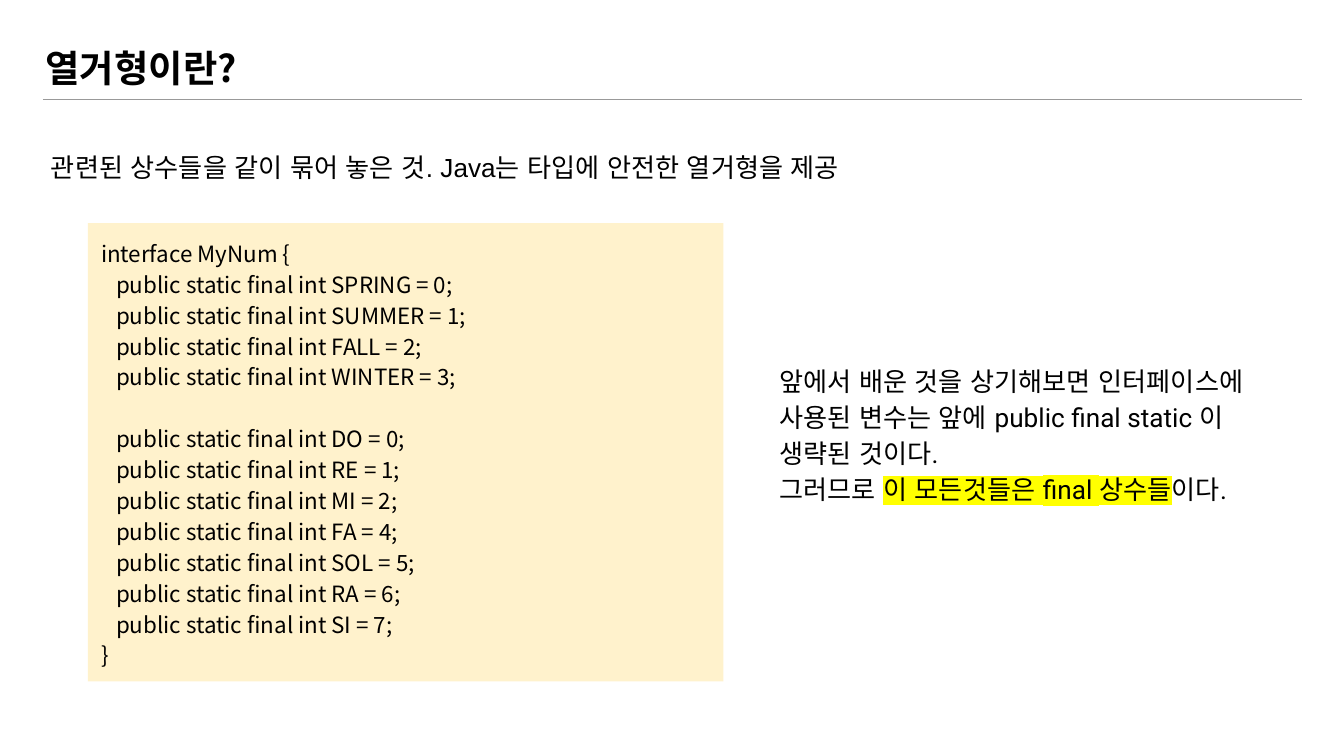
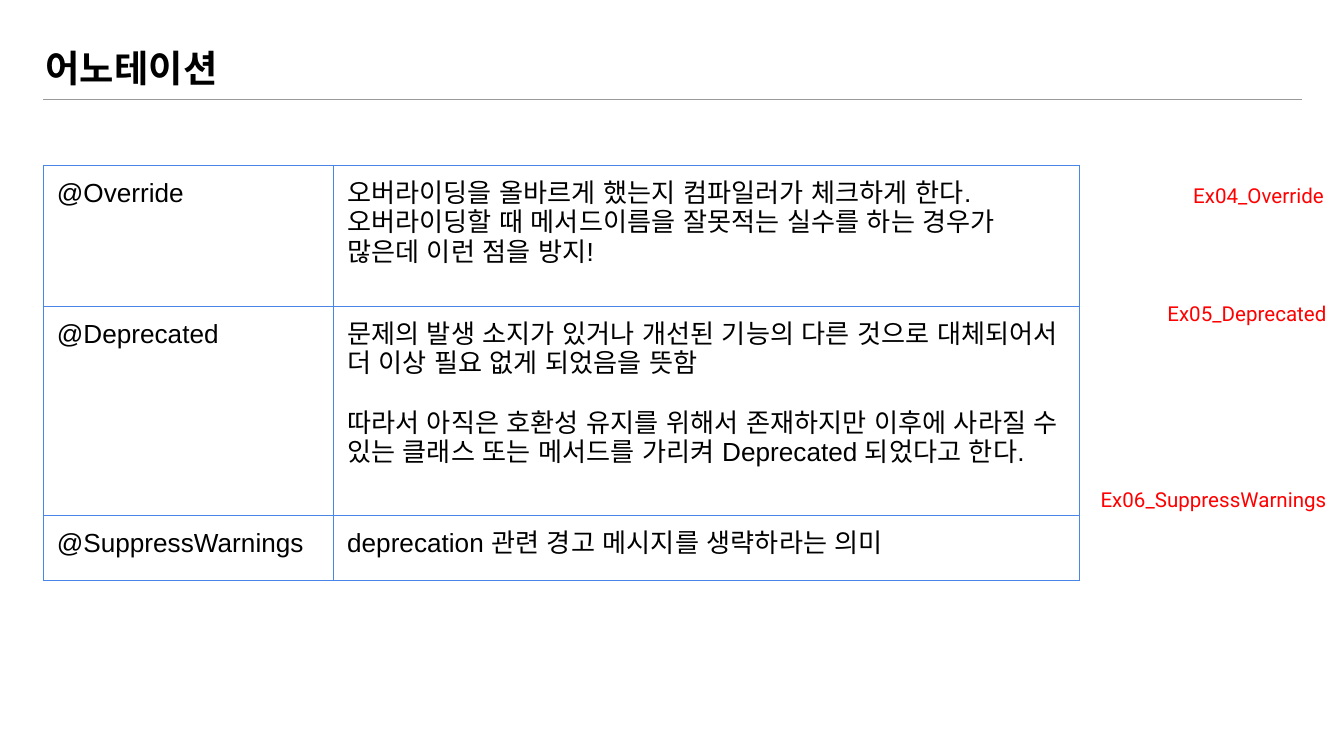
from dataclasses import dataclass
from typing import NamedTuple

from lxml.etree import SubElement
from pptx import Presentation
from pptx.dml.color import RGBColor
from pptx.enum.shapes import MSO_CONNECTOR, MSO_SHAPE
from pptx.enum.text import MSO_ANCHOR as Anchor, PP_ALIGN as Align
from pptx.oxml.ns import qn
from pptx.slide import Slide
from pptx.text.text import TextFrame
from pptx.util import Emu, Inches, Pt

WIDTH, HEIGHT = Inches(10), Inches(5.625)
COLUMN, ROW = WIDTH / 100, HEIGHT / 56.25
INSET = Inches(0.1)

BLACK, RED, RULE = "000000", "FF0000", "999999"
CODE_FILL, MARKER, BORDER = "FFF2CC", "FFFF00", "4A86E8"
SANS, BODY, ROBOTO = "Noto Sans CJK KR", "Arial", "Roboto"


class Area(NamedTuple):
    """A place on the slide, in columns and rows of the grid."""
    left: float
    top: float
    width: float
    height: float

    def lengths(self) -> tuple[Emu, ...]:
        units = (COLUMN, ROW, COLUMN, ROW)
        return tuple(Emu(round(n * unit)) for n, unit in zip(self, units))


class Run(NamedTuple):
    text: str
    marked: bool = False


@dataclass(frozen=True)
class Line:
    """One paragraph; gap is the space before it in points."""
    runs: tuple[Run, ...]
    gap: float = 0


@dataclass(frozen=True)
class Style:
    font: str
    size: float
    color: str = BLACK
    bold: bool = False
    spacing: float | None = 1.15
    align: Align = Align.LEFT
    anchor: Anchor = Anchor.TOP
    korean_font: str = BODY


TITLE = Style(SANS, 20, bold=True, spacing=None, anchor=Anchor.MIDDLE,
              korean_font=SANS)
INTRO = Style(BODY, 14)
CODE = Style(SANS, 12, anchor=Anchor.MIDDLE, korean_font=SANS)
REMARK = Style(ROBOTO, 14)
CELL = Style(BODY, 14, spacing=None)
EXAMPLE = Style(ROBOTO, 11, RED, align=Align.RIGHT)

SEASONS = ("SPRING = 0", "SUMMER = 1", "FALL = 2", "WINTER = 3")
NOTES = ("DO = 0", "RE = 1", "MI = 2", "FA = 4", "SOL = 5", "RA = 6", "SI = 7")

TABLE_AREA = Area(3.23, 12.3, 77.1, 30.9)
TABLE_COLUMNS = (21.6, 55.5)
TABLE_ROWS = (10.5, 15.55, 4.85)


def plain(text: str, gap: float = 0) -> Line:
    return Line((Run(text),), gap)


ANNOTATIONS = (
    ("@Override", (
        plain("오버라이딩을 올바르게 했는지 컴파일러가 체크하게 한다."),
        plain("오버라이딩할 때 메서드이름을 잘못적는 실수를 하는 경우가 많은데 이런 점을 방지!"),
    )),
    ("@Deprecated", (
        plain("문제의 발생 소지가 있거나 개선된 기능의 다른 것으로 대체되어서 "
              "더 이상 필요 없게 되었음을 뜻함"),
        plain("따라서 아직은 호환성 유지를 위해서 존재하지만 이후에 사라질 수 있는 "
              "클래스 또는 메서드를 가리켜 Deprecated 되었다고 한다.", gap=16),
    )),
    ("@SuppressWarnings", (
        plain("deprecation 관련 경고 메시지를 생략하라는 의미"),
    )),
)

EXAMPLES = (
    ("Ex04_Override", Area(66.7, 12.35, 32.8, 3.9)),
    ("Ex05_Deprecated", Area(66.9, 21.1, 32.8, 3.9)),
    ("Ex06_SuppressWarnings", Area(66.9, 34.95, 32.8, 3.9)),
)


def rgb(color: str) -> RGBColor:
    return RGBColor.from_string(color)


def add_solid_color(parent, tag: str, color: str) -> None:
    SubElement(SubElement(parent, qn(tag)), qn("a:srgbClr"), val=color)


def write(frame: TextFrame, lines: tuple[Line, ...], style: Style) -> None:
    for index, line in enumerate(lines):
        paragraph = frame.paragraphs[0] if index == 0 else frame.add_paragraph()
        paragraph.alignment = style.align
        if style.spacing:
            paragraph.line_spacing = style.spacing
        if line.gap:
            paragraph.space_before = Pt(line.gap)
        font = paragraph.font
        font.name, font.size, font.bold = style.font, Pt(style.size), style.bold
        font.color.rgb = rgb(style.color)
        SubElement(font._element, qn("a:ea"), typeface=style.korean_font)
        for text, marked in line.runs:
            run = paragraph.add_run()
            run.text = text
            if marked:
                add_solid_color(run._r.get_or_add_rPr(), "a:highlight", MARKER)


def set_insets(target) -> None:
    """Give a text frame or a table cell the common inner margins."""
    target.margin_left = target.margin_right = INSET
    target.margin_top = target.margin_bottom = INSET


def add_text(slide: Slide, area: Area, lines: tuple[Line, ...], style: Style,
             fill: str | None = None) -> None:
    """Draw a text box, or a filled rectangle with text when fill is given."""
    if fill:
        shape = slide.shapes.add_shape(MSO_SHAPE.RECTANGLE, *area.lengths())
        shape.shadow.inherit = False
        shape.fill.solid()
        shape.fill.fore_color.rgb = rgb(fill)
        shape.line.fill.background()
    else:
        shape = slide.shapes.add_textbox(*area.lengths())
    frame = shape.text_frame
    frame.word_wrap = True
    frame.vertical_anchor = style.anchor
    set_insets(frame)
    write(frame, lines, style)


def add_titled_slide(presentation, title: str) -> Slide:
    slide = presentation.slides.add_slide(presentation.slide_layouts[6])
    add_text(slide, Area(2.4, 2.35, 82.2, 5.4), (plain(title),), TITLE)
    left, top, width, _ = Area(3.2, 7.4, 93.7, 0).lengths()
    rule = slide.shapes.add_connector(
        MSO_CONNECTOR.STRAIGHT, left, top, left + width, top)
    rule.line.color.rgb = rgb(RULE)
    rule.line.width = Pt(0.75)
    SubElement(rule._element.spPr, qn("a:effectLst"))
    return slide


def add_borders(cell) -> None:
    properties = cell._tc.get_or_add_tcPr()
    for side in "LRTB":
        border = SubElement(properties, qn(f"a:ln{side}"), w=str(Pt(0.75)))
        add_solid_color(border, "a:solidFill", BORDER)


def add_annotation_table(slide: Slide) -> None:
    table = slide.shapes.add_table(
        len(TABLE_ROWS), len(TABLE_COLUMNS), *TABLE_AREA.lengths()).table
    table.first_row = table.horz_banding = False
    for column, width in zip(table.columns, TABLE_COLUMNS):
        column.width = Emu(round(width * COLUMN))
    for row, height, (name, meaning) in zip(table.rows, TABLE_ROWS, ANNOTATIONS):
        row.height = Emu(round(height * ROW))
        for cell, lines in zip(row.cells, ((plain(name),), meaning)):
            set_insets(cell)
            add_borders(cell)
            cell.fill.background()
            write(cell.text_frame, lines, CELL)


def code_lines() -> tuple[Line, ...]:
    def constant(value: str, gap: float = 0) -> Line:
        return plain(f"   public static final int {value};", gap)

    return (
        plain("interface MyNum {"),
        *map(constant, SEASONS),
        constant(NOTES[0], gap=16.5),
        *map(constant, NOTES[1:]),
        plain("}"),
    )


def build_enum_slide(presentation) -> None:
    slide = add_titled_slide(presentation, "열거형이란?")
    intro = plain("관련된 상수들을 같이 묶어 놓은 것. Java는 타입에 안전한 열거형을 제공")
    add_text(slide, Area(2.8, 9.9, 71.5, 8.2), (intro,), INTRO)
    add_text(slide, Area(6.54, 16.6, 47.3, 34.1), code_lines(), CODE, CODE_FILL)
    remark = (
        plain("앞에서 배운 것을 상기해보면 인터페이스에 사용된 변수는 앞에 "
              "public final static 이 생략된 것이다."),
        Line((Run("그러므로 "), Run("이 모든것들은 final 상수들", True), Run("이다."))),
    )
    add_text(slide, Area(57, 25.84, 36.7, 12.5), remark, REMARK)


def build_annotation_slide(presentation) -> None:
    slide = add_titled_slide(presentation, "어노테이션")
    add_annotation_table(slide)
    for name, area in EXAMPLES:
        add_text(slide, area, (plain(name),), EXAMPLE)


def main() -> None:
    presentation = Presentation()
    presentation.slide_width, presentation.slide_height = WIDTH, HEIGHT
    build_enum_slide(presentation)
    build_annotation_slide(presentation)
    presentation.save("out.pptx")


if __name__ == "__main__":
    main()
